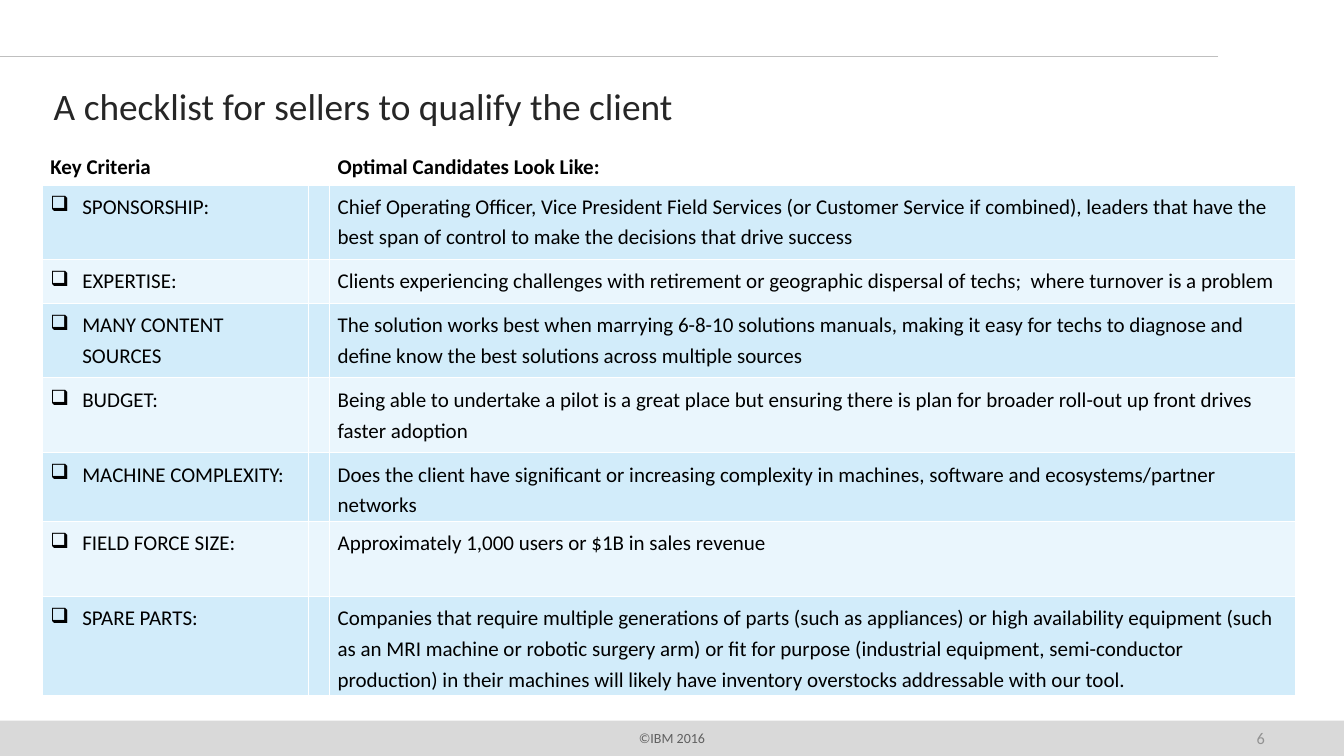
"""Build the slide with the checklist for qualifying a client."""
from dataclasses import dataclass

from lxml import etree
from pptx import Presentation
from pptx.dml.color import RGBColor
from pptx.enum import shapes, text
from pptx.oxml import ns
from pptx.util import Inches, Pt

FONT = "Calibri"
BLACK = RGBColor(0x00, 0x00, 0x00)
WHITE = RGBColor(0xFF, 0xFF, 0xFF)
TITLE_GREY = RGBColor(0x26, 0x26, 0x26)
FOOTER_GREY = RGBColor(0x60, 0x60, 0x60)
NUMBER_GREY = RGBColor(0x92, 0x92, 0x92)
RULE_GREY = RGBColor(0xBF, 0xBF, 0xBF)
BAND_GREY = RGBColor(0xD9, 0xD9, 0xD9)
ROW_BLUES = (RGBColor(0xD2, 0xEC, 0xFA), RGBColor(0xEA, 0xF6, 0xFD))
COLUMN_WIDTHS = (3.17, 0.25, 11.5)
HEADER_HEIGHT = 0.65


@dataclass(frozen=True)
class Criterion:
    name: str
    candidate: str
    height: float = 0.89


CRITERIA = (
    Criterion("SPONSORSHIP:", "Chief Operating Officer, Vice President Field Services (or Customer Service "
              "if combined), leaders that have the best span of control to make the decisions that drive success"),
    Criterion("EXPERTISE:", "Clients experiencing challenges with retirement or geographic dispersal of techs;  "
              "where turnover is a problem", 0.52),
    Criterion("MANY CONTENT SOURCES", "The solution works best when marrying 6-8-10 solutions manuals, making it "
              "easy for techs to diagnose and define know the best solutions across multiple sources"),
    Criterion("BUDGET:", "Being able to undertake a pilot is a great place but ensuring there is plan for "
              "broader roll-out up front drives faster adoption"),
    Criterion("MACHINE COMPLEXITY:", "Does the client have significant or increasing complexity in machines, "
              "software and ecosystems/partner networks", 0.49),
    Criterion("FIELD FORCE SIZE:", "Approximately 1,000 users or $1B in sales revenue"),
    Criterion("SPARE PARTS:", "Companies that require multiple generations of parts (such as appliances) or high "
              "availability equipment (such as an MRI machine or robotic surgery arm) or fit for purpose "
              "(industrial equipment, semi-conductor production) in their machines will likely have inventory "
              "overstocks addressable with our tool."),
)


def write(frame, words: str, *, size: float = 18, color: RGBColor = BLACK, bold: bool = False,
          align=text.PP_ALIGN.LEFT, spacing: float = 1.0, bullet: str = "") -> None:
    """Put one formatted paragraph into a text frame."""
    para = frame.paragraphs[0]
    para.alignment = align
    para.line_spacing = spacing
    if bullet:
        properties = para._p.get_or_add_pPr()
        properties.set("marL", str(Inches(0.38)))
        properties.set("indent", str(-Inches(0.38)))
        etree.SubElement(properties, ns.qn("a:buChar")).set("char", bullet)
    span = para.add_run()
    span.text = words
    span.font.name = FONT
    span.font.size = Pt(size)
    span.font.bold = bold
    span.font.color.rgb = color


def add_label(page, words: str, left: float, top: float, width: float, height: float, *,
              anchor=text.MSO_ANCHOR.TOP, margins: tuple[float, float] = (0.14, 0.07), **style) -> None:
    """Add a wrapped text box."""
    box = page.shapes.add_textbox(Inches(left), Inches(top), Inches(width), Inches(height))
    frame = box.text_frame
    frame.word_wrap = True
    frame.vertical_anchor = anchor
    frame.margin_left = frame.margin_right = Inches(margins[0])
    frame.margin_top = frame.margin_bottom = Inches(margins[1])
    write(frame, words, **style)


def add_borders(cell, bottom: float = 1) -> None:
    """Draw white borders around a cell."""
    properties = cell._tc.get_or_add_tcPr()
    for side, width in (("L", 1), ("R", 1), ("T", 1), ("B", bottom)):
        line = etree.SubElement(properties, ns.qn(f"a:ln{side}"), w=str(Pt(width)))
        fill = etree.SubElement(line, ns.qn("a:solidFill"))
        etree.SubElement(fill, ns.qn("a:srgbClr"), val=str(WHITE))


def add_checklist(page) -> None:
    """Add the table of criteria."""
    heights = [HEADER_HEIGHT] + [criterion.height for criterion in CRITERIA]
    table = page.shapes.add_table(len(heights), len(COLUMN_WIDTHS), Inches(0.5), Inches(1.55),
                                  Inches(sum(COLUMN_WIDTHS)), Inches(sum(heights))).table
    table.first_row = table.horz_banding = False
    for column, width in zip(table.columns, COLUMN_WIDTHS):
        column.width = Inches(width)
    for row, height in zip(table.rows, heights):
        row.height = Inches(height)

    for cell in table.rows[0].cells:
        add_borders(cell, bottom=3)
        cell.fill.background()
        cell.vertical_anchor = text.MSO_ANCHOR.BOTTOM
    write(table.cell(0, 0).text_frame, "Key Criteria", bold=True)
    write(table.cell(0, 2).text_frame, "Optimal Candidates Look Like:", bold=True)

    for index, criterion in enumerate(CRITERIA):
        cells = list(table.rows[index + 1].cells)
        for cell in cells:
            add_borders(cell)
            cell.fill.solid()
            cell.fill.fore_color.rgb = ROW_BLUES[index % 2]
        write(cells[0].text_frame, criterion.name, spacing=1.2, bullet="❑")
        write(cells[2].text_frame, criterion.candidate, spacing=1.2)


def add_frame(page) -> None:
    """Add the footer band and the top rule."""
    band = page.shapes.add_shape(shapes.MSO_SHAPE.RECTANGLE, 0, Inches(8.58), Inches(16), Inches(0.42))
    band.shadow.inherit = False
    band.fill.solid()
    band.fill.fore_color.rgb = BAND_GREY
    band.line.fill.background()
    rule = page.shapes.add_connector(shapes.MSO_CONNECTOR.STRAIGHT, Inches(14.5), Inches(0.67), 0, Inches(0.67))
    rule.line.color.rgb = RULE_GREY
    rule.line.width = Pt(0.5)
    etree.SubElement(rule._element.spPr, ns.qn("a:effectLst"))


def main() -> None:
    """Build and save the deck."""
    deck = Presentation()
    deck.slide_width, deck.slide_height = Inches(16), Inches(9)
    page = deck.slides.add_slide(deck.slide_layouts[6])
    add_frame(page)
    add_label(page, "©IBM 2016", 4, 8.64, 8, 0.3, margins=(0.1, 0.05),
              size=12, color=FOOTER_GREY, align=text.PP_ALIGN.CENTER)
    add_label(page, "A checklist for sellers to qualify the client", 0.5, 0.92, 14.17, 0.63,
              size=32, color=TITLE_GREY)
    add_label(page, "6", 11.47, 8.64, 3.73, 0.3, anchor=text.MSO_ANCHOR.MIDDLE,
              size=14, color=NUMBER_GREY, align=text.PP_ALIGN.RIGHT)
    add_checklist(page)
    deck.save("out.pptx")


if __name__ == "__main__":
    main()
